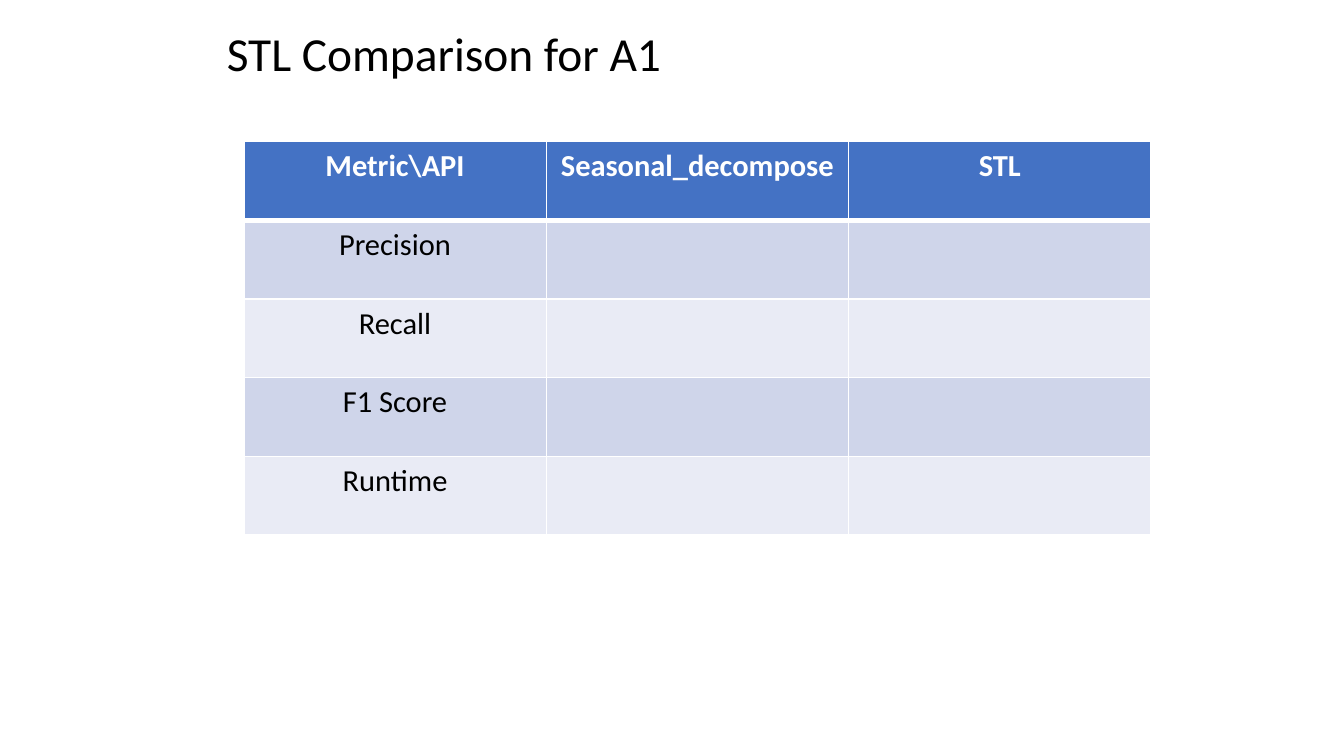
from dataclasses import dataclass

from lxml.etree import SubElement
from pptx import Presentation
from pptx.dml.color import RGBColor
from pptx.enum.text import MSO_ANCHOR, MSO_AUTO_SIZE, PP_ALIGN
from pptx.oxml.ns import qn
from pptx.util import Cm, Pt


@dataclass(frozen=True)
class Theme:
    """Colours, font and type sizes of the slide."""
    font: str = "Calibri"
    title_size: int = 28
    cell_size: int = 18
    text: str = "000000"
    white: str = "FFFFFF"
    header: str = "4472C4"
    bands: tuple = ("CFD5EA", "E9EBF5")


THEME = Theme()
HEADERS = ["Metric\\API", "Seasonal_decompose", "STL"]
METRICS = ["Precision", "Recall", "F1 Score", "Runtime"]


def write(tf, text, size=THEME.cell_size, color=THEME.text, bold=False,
          align=PP_ALIGN.CENTER):
    """Write one formatted paragraph into a text frame."""
    p = tf.paragraphs[0]
    p.alignment = align
    r = p.add_run()
    r.text = text
    r.font.name = THEME.font
    r.font.size = Pt(size)
    r.font.bold = bold
    r.font.color.rgb = RGBColor.from_string(color)


def set_borders(cell, **widths):
    """Draw white borders of the given point widths, keyed by side."""
    tcPr = cell._tc.get_or_add_tcPr()
    for i, side in enumerate("LRTB"):
        ln = SubElement(tcPr, qn(f"a:ln{side}"), w=str(Pt(widths.get(side, 1))))
        fill = SubElement(ln, qn("a:solidFill"))
        SubElement(fill, qn("a:srgbClr"), val=THEME.white)
        tcPr.insert(i, ln)


def add_title(s, text, left, top, width, height):
    """Place and fill the title placeholder."""
    sp = s.shapes.title
    sp.left, sp.top, sp.width, sp.height = left, top, width, height
    tf = sp.text_frame
    tf.word_wrap = True
    tf.auto_size = MSO_AUTO_SIZE.SHAPE_TO_FIT_TEXT
    tf.vertical_anchor = MSO_ANCHOR.TOP
    write(tf, text, size=THEME.title_size, align=PP_ALIGN.LEFT)


def add_metric_table(s, headers, metrics, left, top, col_width, row_height):
    """Add a banded table with a header row and one row per metric."""
    rows = [headers] + [[m] + [""] * (len(headers) - 1) for m in metrics]
    table = s.shapes.add_table(len(rows), len(headers), left, top,
                               col_width * len(headers),
                               row_height * len(rows)).table
    for i, row in enumerate(rows):
        is_header = i == 0
        fill = THEME.header if is_header else THEME.bands[(i - 1) % 2]
        for j, text in enumerate(row):
            cell = table.cell(i, j)
            cell.fill.solid()
            cell.fill.fore_color.rgb = RGBColor.from_string(fill)
            set_borders(cell, T=3 if i == 1 else 1, B=3 if is_header else 1)
            if text:
                write(cell.text_frame, text, bold=is_header,
                      color=THEME.white if is_header else THEME.text)


def main():
    """Build the slide and save it."""
    prs = Presentation()
    prs.slide_width, prs.slide_height = Cm(28), Cm(15.75)
    s = prs.slides.add_slide(prs.slide_layouts.get_by_name("Title Only"))
    add_metric_table(s, HEADERS, METRICS, Cm(5.08), Cm(2.95), Cm(6.3), Cm(1.64))
    add_title(s, "STL Comparison for A1", Cm(4.47), Cm(0.38), Cm(19.5), Cm(1.45))
    prs.save("out.pptx")


main()
